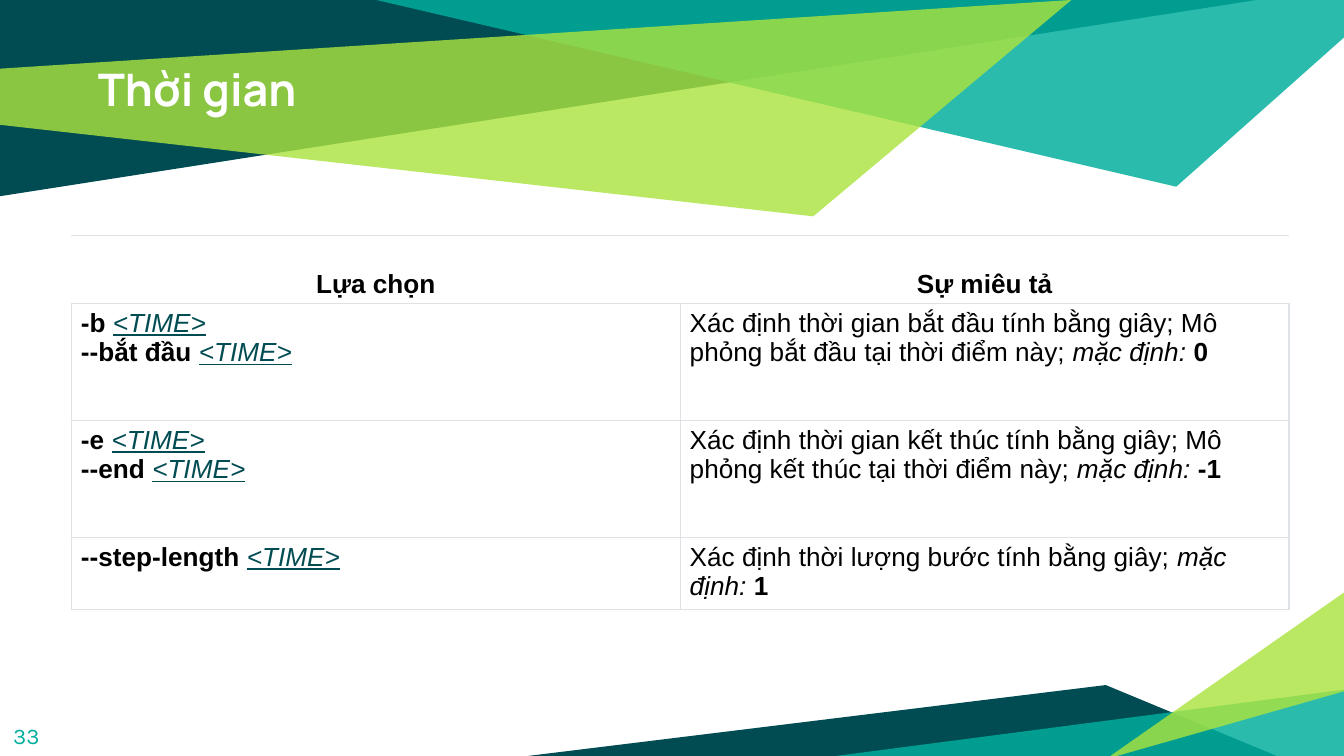
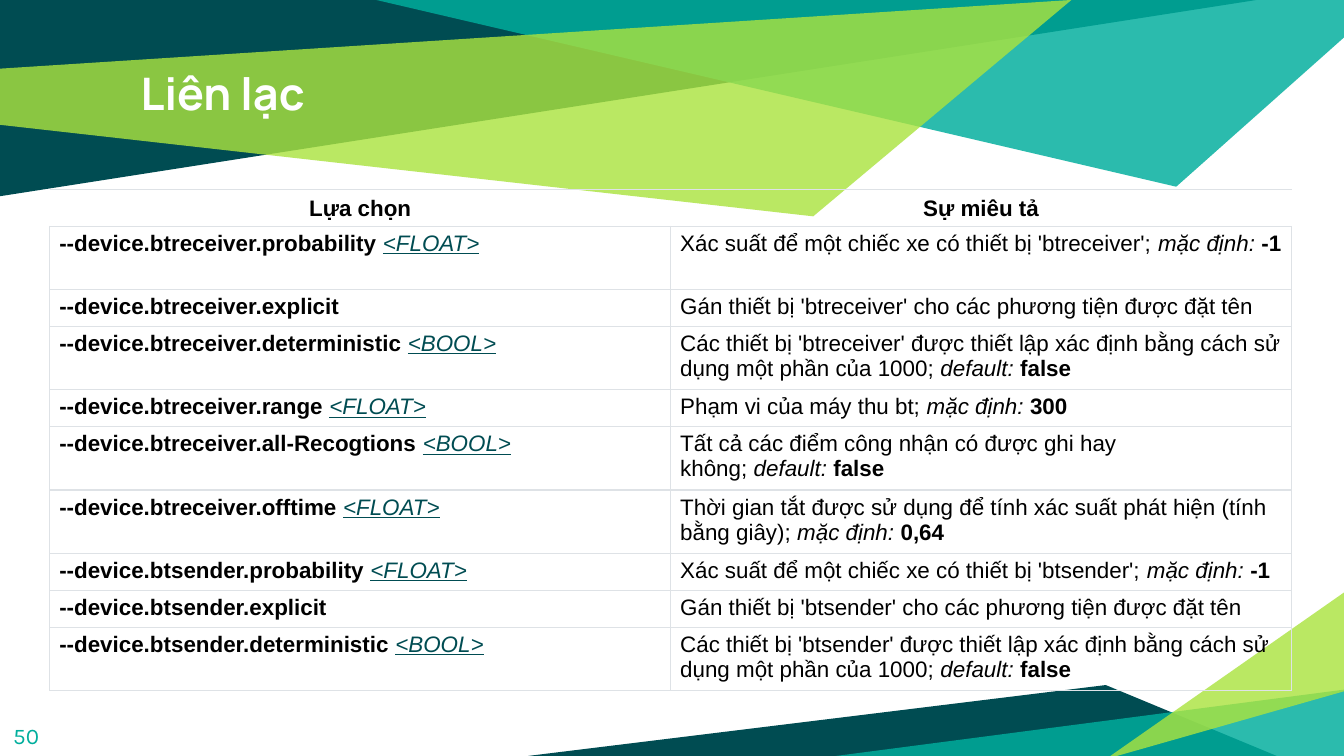
from lxml.etree import SubElement
from pptx import Presentation
from pptx.dml.color import RGBColor
from pptx.enum.text import MSO_ANCHOR, PP_ALIGN
from pptx.oxml.ns import qn
from pptx.util import Cm, Pt

DARK, TEAL, LIME = "004C52", "00AE9D", "ABE33F"
WHITE, BLACK, RULE = "FFFFFF", "000000", "DEE2E6"
NBSP = chr(160)
HEADINGS = ("Lựa chọn", "Sự miêu tả")

# Polygons in cm, relative to the corner of their band: colour, opacity %, points
TOP_BAND = [
    (DARK, 100, [(0, 0), (0, 3.71), (23.75, 0)]),
    (TEAL, 83, [(7.11, 0), (22.23, 3.53), (25.4, 0.71), (25.4, 0)]),
    (LIME, 81, [(-0.02, 1.3), (0, 2.36), (15.37, 4.09), (20.25, 0)]),
]
BOTTOM_BAND = [
    (DARK, 100, [(0, 3.11), (14.15, 3.11), (10.92, 1.77)]),
    (TEAL, 83, [(15.47, 1.85), (15.47, 3.17), (5.36, 3.17)]),
    (LIME, 81, [(15.45, 1.88), (15.45, 0), (10.92, 3.17)]),
]

# Each row: options as (flag, value type), description, label, default value
TIME_ROWS = [
    ([("-b", "TIME"), ("--bắt đầu", "TIME")],
     "Xác định thời gian bắt đầu tính bằng giây; Mô phỏng bắt đầu tại thời điểm này; ",
     "mặc định:", "0"),
    ([("-e", "TIME"), ("--end", "TIME")],
     "Xác định thời gian kết thúc tính bằng giây; Mô phỏng kết thúc tại thời điểm này; ",
     "mặc định:", "-1"),
    ([("--step-length", "TIME")],
     "Xác định thời lượng bước tính bằng giây; ", "mặc định:", "1"),
]
DEVICE_ROWS = [
    ([("--device.btreceiver.probability", "FLOAT")],
     "Xác suất để một chiếc xe có thiết bị 'btreceiver'; ", "mặc định:", "-1"),
    ([("--device.btreceiver.explicit", "")],
     "Gán thiết bị 'btreceiver' cho các phương tiện được đặt tên", "", ""),
    ([("--device.btreceiver.deterministic", "BOOL")],
     "Các thiết bị 'btreceiver' được thiết lập xác định bằng cách sử dụng một phần của 1000; ",
     "default:", "false"),
    ([("--device.btreceiver.range", "FLOAT")],
     "Phạm vi của máy thu bt; ", "mặc định:", "300"),
    ([("--device.btreceiver.all-Recogtions", "BOOL")],
     "Tất cả các điểm công nhận có được ghi hay không; ", "default:", "false"),
    ([("--device.btreceiver.offtime", "FLOAT")],
     "Thời gian tắt được sử dụng để tính xác suất phát hiện (tính bằng giây); ",
     "mặc định:", "0,64"),
    ([("--device.btsender.probability", "FLOAT")],
     "Xác suất để một chiếc xe có thiết bị 'btsender'; ", "mặc định:", "-1"),
    ([("--device.btsender.explicit", "")],
     "Gán thiết bị 'btsender' cho các phương tiện được đặt tên", "", ""),
    ([("--device.btsender.deterministic", "BOOL")],
     "Các thiết bị 'btsender' được thiết lập xác định bằng cách sử dụng một phần của 1000; ",
     "default:", "false"),
]


def rgb(value):
    return RGBColor.from_string(value)


def set_font(font, name, size, color, bold=False):
    font.name, font.size, font.bold = name, Pt(size), bold
    font.color.rgb = rgb(color)


def add_band(s, left, top, polygons):
    for color, opacity, points in polygons:
        corners = [(Cm(left + x), Cm(top + y)) for x, y in points]
        builder = s.shapes.build_freeform(*corners[0])
        builder.add_line_segments(corners[1:], close=True)
        sp = builder.convert_to_shape()
        sp.shadow.inherit = False
        sp.line.fill.background()
        sp.fill.solid()
        sp.fill.fore_color.rgb = rgb(color)
        if opacity < 100:
            clr = sp.fill._xPr.find(".//" + qn("a:srgbClr"))
            SubElement(clr, qn("a:alpha"), val=str(opacity * 1000))


def add_label(s, box, text, *style):
    tf = s.shapes.add_textbox(*map(Cm, box)).text_frame
    tf.word_wrap = True
    tf.margin_left = tf.margin_right = tf.margin_top = tf.margin_bottom = Cm(0.25)
    p = tf.paragraphs[0]
    p.add_run().text = text
    set_font(p.font, *style)


def set_borders(cell, sides):
    """Rule the given sides (of L, R, T, B) and clear the others."""
    tcPr = cell._tc.get_or_add_tcPr()
    for side in "LRTB":
        ln = SubElement(tcPr, qn("a:ln" + side), w=str(Pt(0.75)))
        if side in sides:
            SubElement(SubElement(ln, qn("a:solidFill")), qn("a:srgbClr"), val=RULE)
        else:
            SubElement(ln, qn("a:noFill"))


def add_run(p, text, bold=False, italic=False):
    r = p.add_run()
    r.text = text
    r.font.bold, r.font.italic = bold, italic
    return r


def fill_options(p, options):
    for i, (flag, kind) in enumerate(options):
        if i:
            p.add_line_break()
        add_run(p, flag + (NBSP if kind else ""), bold=True)
        if kind:
            r = add_run(p, f"<{kind}>", italic=True)
            r.font.underline = True
            r.font.color.rgb = rgb(DARK)


def fill_description(p, text, label, default):
    add_run(p, text.replace("; ", ";" + NBSP))
    if label:
        add_run(p, label + NBSP, italic=True)
        add_run(p, default, bold=True)


def add_option_table(s, left, top, width, heights, rows, size):
    table = s.shapes.add_table(len(heights), 2, Cm(left), Cm(top),
                               Cm(width), Cm(sum(heights))).table
    table.first_row = table.horz_banding = False
    for column in table.columns:
        column.width = Cm(width / 2)
    for row, height in zip(table.rows, heights):
        row.height = Cm(height)

    for i, row in enumerate(table.rows):
        for cell in row.cells:
            set_borders(cell, "LRTB" if i else "TB")
            cell.fill.background()
            cell.margin_left = cell.margin_right = Cm(0.18)
            cell.margin_top = cell.margin_bottom = Cm(0.09)
            set_font(cell.text_frame.paragraphs[0].font, "Arial", size, BLACK, bold=not i)

    for cell, heading in zip(table.rows[0].cells, HEADINGS):
        cell.vertical_anchor = MSO_ANCHOR.BOTTOM
        p = cell.text_frame.paragraphs[0]
        p.alignment = PP_ALIGN.CENTER
        p.add_run().text = heading
    for i, (options, *description) in enumerate(rows, 1):
        fill_options(table.cell(i, 0).text_frame.paragraphs[0], options)
        fill_description(table.cell(i, 1).text_frame.paragraphs[0], *description)


def add_option_slide(prs, title, title_at, number, **table):
    s = prs.slides.add_slide(prs.slide_layouts[6])
    add_band(s, 0, 0, TOP_BAND)
    add_band(s, 9.98, 11.18, BOTTOM_BAND)
    add_label(s, (*title_at, 20.47, 2.39), title, "Manrope", 24, WHITE, True)
    add_label(s, (0, 13.41, 1.52, 1.09), number, "Karla", 12, TEAL)
    add_option_table(s, **table)


def main():
    prs = Presentation()
    prs.slide_width, prs.slide_height = Cm(25.4), Cm(14.29)
    add_option_slide(prs, "Thời gian", (1.6, 0.91), "33",
                     left=1.35, top=4.45, width=23.01, size=14,
                     heights=[1.29, 2.21, 2.21, 1.29], rows=TIME_ROWS)
    one, two = 0.7, 1.19  # heights of rows with one and two lines
    add_option_slide(prs, "Liên lạc", (2.41, 0.99), "50",
                     left=0.94, top=3.58, width=23.47, size=12,
                     heights=[one, two, one, two, one, two, two, one, one, two],
                     rows=DEVICE_ROWS)
    prs.save("out.pptx")


if __name__ == "__main__":
    main()
